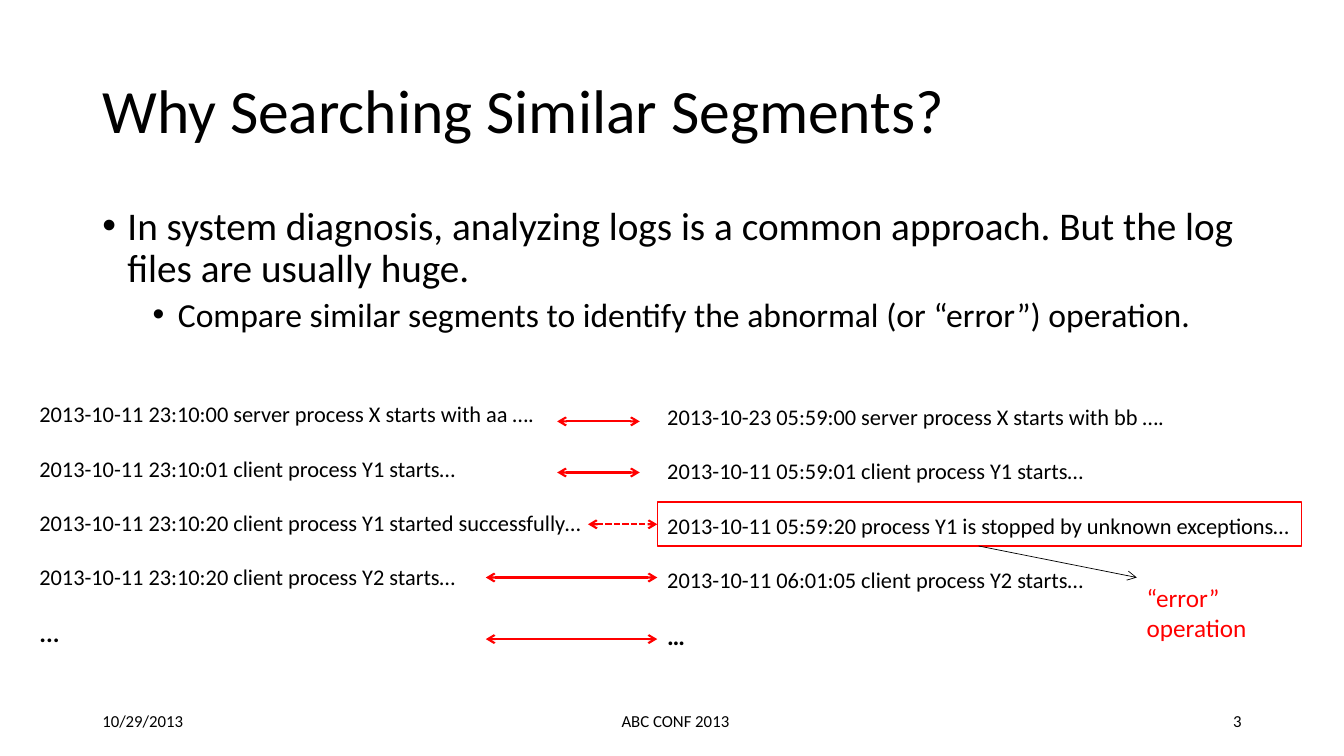
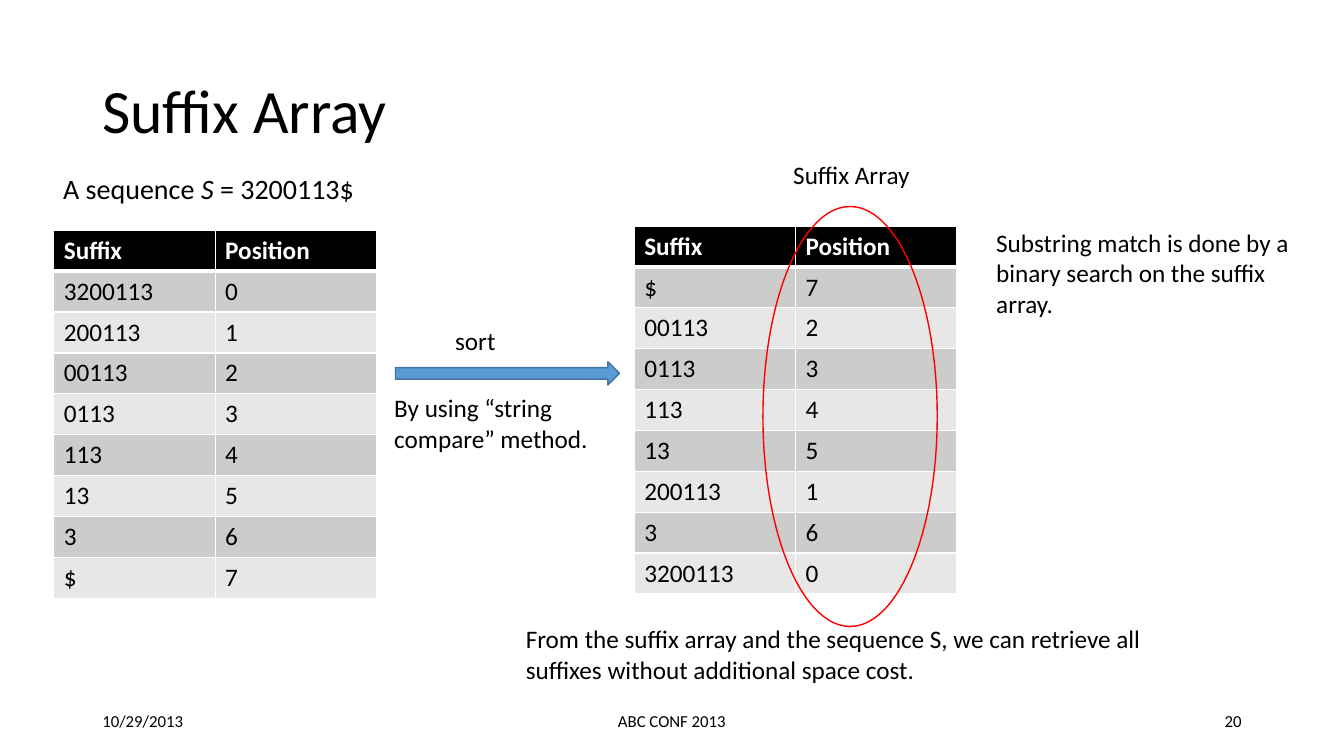
from lxml import etree
from pptx import Presentation
from pptx.dml.color import RGBColor
from pptx.enum.dml import MSO_LINE
from pptx.enum.shapes import MSO_CONNECTOR, MSO_SHAPE
from pptx.enum.text import MSO_ANCHOR, PP_ALIGN
from pptx.oxml.ns import qn
from pptx.util import Pt

FONT = "Calibri"
BLACK = RGBColor(0x00, 0x00, 0x00)
WHITE = RGBColor(0xFF, 0xFF, 0xFF)
RED = RGBColor(0xFF, 0x00, 0x00)
BLUE = RGBColor(0x5B, 0x9B, 0xD5)
DARK_BLUE = RGBColor(0x43, 0x73, 0x9E)
BANDS = [RGBColor(0xCC, 0xCC, 0xCC), RGBColor(0xE7, 0xE7, 0xE7)]

MARGIN, CONTENT_W = 66, 828
DATE, VENUE = "10/29/2013", "ABC CONF 2013"
SEQUENCE = "3200113"

prs = Presentation()
prs.slide_width, prs.slide_height = Pt(960), Pt(540)


# Shared helpers
def add_run(p, text, size=18, color=BLACK, bold=False, italic=False):
    r = p.add_run()
    r.text = text
    f = r.font
    f.name, f.size, f.bold, f.italic = FONT, Pt(size), bold, italic
    f.color.rgb = color


def add_text(s, box, text, align=PP_ALIGN.LEFT, anchor=MSO_ANCHOR.TOP,
             line_spacing=None, **fmt):
    tf = s.shapes.add_textbox(*map(Pt, box)).text_frame
    tf.word_wrap = True
    tf.vertical_anchor = anchor
    p = tf.paragraphs[0]
    p.alignment = align
    p.line_spacing = line_spacing
    add_run(p, text, **fmt)
    return tf


def add_shape(s, kind, box, line, fill=None):
    sp = s.shapes.add_shape(kind, *map(Pt, box))
    sp.shadow.inherit = False
    if fill is None:
        sp.fill.background()
    else:
        sp.fill.solid()
        sp.fill.fore_color.rgb = fill
    sp.line.color.rgb = line
    sp.line.width = Pt(1)


def add_arrow(s, start, end, color=RED, width=1.5, both=True, dashed=False):
    c = s.shapes.add_connector(MSO_CONNECTOR.STRAIGHT, *map(Pt, start + end))
    c.line.color.rgb = color
    c.line.width = Pt(width)
    if dashed:
        c.line.dash_style = MSO_LINE.SQUARE_DOT
    ln = c.line._get_or_add_ln()
    for tag in ("a:headEnd", "a:tailEnd") if both else ("a:tailEnd",):
        etree.SubElement(ln, qn(tag), type="arrow")
    etree.SubElement(c._element.spPr, qn("a:effectLst"))


def add_bullet(p, text, level, size, before):
    p.level = level
    p.line_spacing, p.space_before = 0.9, Pt(before)
    pPr = p._p.get_or_add_pPr()
    pPr.set("marL", str(Pt(18 + 36 * level)))
    pPr.set("indent", str(Pt(-18)))
    etree.SubElement(pPr, qn("a:buFont"), typeface="Arial")
    etree.SubElement(pPr, qn("a:buChar"), char="•")
    add_run(p, text, size)


def new_slide(title, number, venue_x):
    s = prs.slides.add_slide(prs.slide_layouts[6])
    add_text(s, (MARGIN, 28.75, CONTENT_W, 104.5), title, size=44,
             anchor=MSO_ANCHOR.MIDDLE, line_spacing=0.9)
    # Footer
    for x, w, text, align in ((MARGIN, 216, DATE, PP_ALIGN.LEFT),
                              (venue_x, 324, VENUE, PP_ALIGN.CENTER),
                              (678, 216, str(number), PP_ALIGN.RIGHT)):
        add_text(s, (x, 500.5, w, 28.75), text, size=12, align=align,
                 anchor=MSO_ANCHOR.MIDDLE)
    return s


# Log listing with one blank line's gap between entries
def add_log(s, box, entries, ending):
    tf = add_text(s, box, entries[0], size=16)
    for text in entries[1:] + [ending]:
        p = tf.add_paragraph()
        p.space_before = Pt(19.5)
        last = text == ending
        add_run(p, text, size=18 if last else 16, bold=last)


# Table of suffixes and their positions
def set_borders(cell, top, bottom):
    tcPr = cell._tc.get_or_add_tcPr()
    widths = {"a:lnL": 1, "a:lnR": 1, "a:lnT": top, "a:lnB": bottom}
    for tag, width in widths.items():
        ln = etree.SubElement(tcPr, qn(tag), w=str(Pt(width)))
        fill = etree.SubElement(ln, qn("a:solidFill"))
        etree.SubElement(fill, qn("a:srgbClr"), val=str(WHITE))


def add_suffix_table(s, x, y, suffixes):
    rows = [("Suffix", "Position")] + suffixes
    col_w, row_h = 115.2, 29.2
    table = s.shapes.add_table(len(rows), 2, Pt(x), Pt(y), Pt(2 * col_w),
                               Pt(row_h * len(rows))).table
    for col in table.columns:
        col.width = Pt(col_w)
    for i, values in enumerate(rows):
        table.rows[i].height = Pt(row_h)
        header = i == 0
        for j, value in enumerate(values):
            cell = table.cell(i, j)
            set_borders(cell, 3 if i == 1 else 1, 3 if header else 1)
            cell.fill.solid()
            cell.fill.fore_color.rgb = BLACK if header else BANDS[(i - 1) % 2]
            add_run(cell.text_frame.paragraphs[0], str(value), bold=header,
                    color=WHITE if header else BLACK)


def segments_slide():
    s = new_slide("Why Searching Similar Segments?", 3, 320.5)
    # Bullets
    tf = s.shapes.add_textbox(Pt(MARGIN), Pt(144), Pt(CONTENT_W),
                              Pt(342.5)).text_frame
    tf.word_wrap = True
    add_bullet(tf.paragraphs[0], "In system diagnosis, analyzing logs is a "
               "common approach. But the log files are usually huge.", 0, 28, 10)
    add_bullet(tf.add_paragraph(), "Compare similar segments to identify the "
               "abnormal (or “error”) operation.", 1, 24, 5)
    # Two logs side by side
    add_log(s, (21, 282.5, 428.5, 223), [
        "2013-10-11 23:10:00 server process X starts with aa ….",
        "2013-10-11 23:10:01 client process Y1 starts…",
        "2013-10-11 23:10:20 client process Y1 started successfully…",
        "2013-10-11 23:10:20 client process Y2 starts…"], "...")
    right = 469.5
    add_log(s, (right, 284.5, 466.5, 242.5), [
        "2013-10-23 05:59:00 server process X starts with bb ….",
        "2013-10-11 05:59:01 client process Y1 starts…",
        "2013-10-11 05:59:20 process Y1 is stopped by unknown exceptions…",
        "2013-10-11 06:01:05 client process Y2 starts…"], "…")
    # Matching entries
    for x1, x2, y in ((398, 457, 301), (398, 457, 337.5), (420, right, 374.5),
                      (347, right, 412.5), (347, right, 456.5)):
        add_arrow(s, (x1, y), (x2, y), dashed=y == 374.5)
    # Error callout
    add_shape(s, MSO_SHAPE.RECTANGLE, (right, 358.5, 460, 31.5), RED)
    add_arrow(s, (699, 390), (812, 412.5), BLACK, 0.5, both=False)
    add_text(s, (812, 412.5, 101, 51), "“error” operation", color=RED)


def suffix_array_slide():
    s = new_slide("Suffix Array", 20, 318)
    # Sequence
    tf = add_text(s, (38, 119, 239, 31.5), "A sequence ", size=20)
    add_run(tf.paragraphs[0], "S", 20, italic=True)
    add_run(tf.paragraphs[0], f" = {SEQUENCE}$", 20)
    # Suffixes before and after sorting
    suffixes = [(SEQUENCE[i:] or "$", i) for i in range(len(SEQUENCE) + 1)]
    add_suffix_table(s, 38.5, 164.5, suffixes)
    add_suffix_table(s, 453, 161.5, sorted(suffixes))
    # Sort step
    add_shape(s, MSO_SHAPE.RIGHT_ARROW, (282.5, 258.5, 160, 16.5), DARK_BLUE, BLUE)
    add_text(s, (318, 229, 51, 29), "sort")
    add_text(s, (274.5, 277, 168, 51), "By using “string compare” method.")
    # Suffix array and remarks
    add_shape(s, MSO_SHAPE.OVAL, (545, 147.5, 124.5, 300), RED)
    add_text(s, (559.5, 110, 115, 29), "Suffix Array")
    add_text(s, (368.5, 442, 459.5, 51), "From the suffix array and the sequence "
             "S, we can retrieve all suffixes without additional space cost.")
    add_text(s, (704.5, 159, 239, 73), "Substring match is done by a binary "
             "search on the suffix array.")


segments_slide()
suffix_array_slide()
prs.save("out.pptx")
